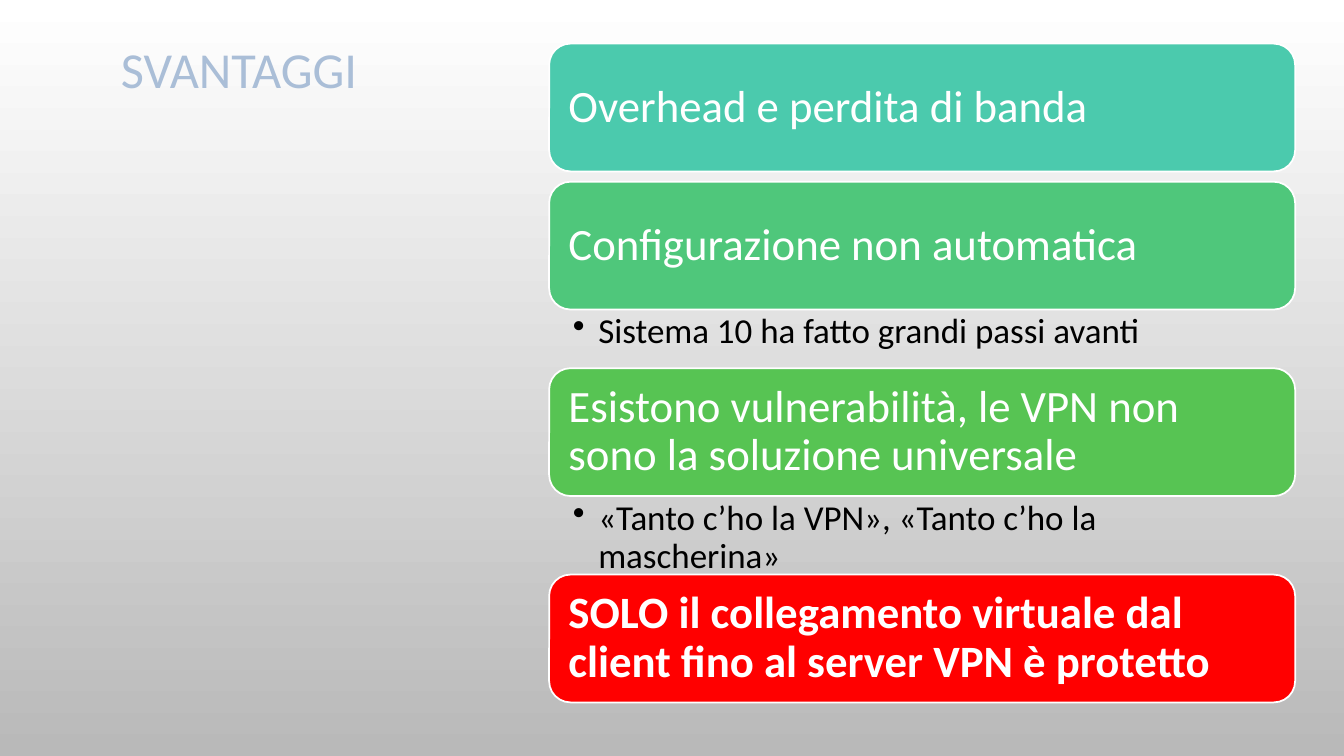
from lxml.etree import SubElement
from pptx import Presentation
from pptx.dml.color import RGBColor
from pptx.enum.shapes import MSO_SHAPE
from pptx.enum.text import MSO_ANCHOR, MSO_AUTO_SIZE, PP_ALIGN
from pptx.oxml.ns import qn
from pptx.util import Cm, Pt

WHITE = RGBColor(0xFF, 0xFF, 0xFF)
BLACK = RGBColor(0x00, 0x00, 0x00)
GREY = RGBColor(0xB9, 0xB9, 0xB9)
PALE_BLUE = RGBColor(0xAA, 0xBE, 0xD7)
TEAL = RGBColor(0x4B, 0xCA, 0xAD)
MINT = RGBColor(0x4F, 0xC7, 0x7B)
GREEN = RGBColor(0x57, 0xC4, 0x53)
RED = RGBColor(0xFF, 0x00, 0x00)

LIST_LEFT, LIST_TOP, LIST_WIDTH = Cm(13.84), Cm(1.1), Cm(18.8)
CARD_HEIGHT = Cm(3.22)

# Card text, fill, bold, note below the card, space down to the next card
CARDS = [
    ("Overhead e perdita di banda", TEAL, False, None, Cm(0.26)),
    ("Configurazione non automatica", MINT, False,
     "Sistema 10 ha fatto grandi passi avanti", Cm(1.48)),
    ("Esistono vulnerabilità, le VPN non sono la soluzione universale", GREEN, False,
     "«Tanto c’ho la VPN», «Tanto c’ho la mascherina»", Cm(1.98)),
    ("SOLO il collegamento virtuale dal client fino al server VPN è protetto", RED, True,
     None, Cm(0)),
]


def add_bullet(para):
    properties = para._p.get_or_add_pPr()
    properties.set("marL", str(Cm(0.64)))
    properties.set("indent", str(-Cm(0.64)))
    SubElement(properties, qn("a:buChar")).set("char", "•")


def write_text(shape, text, *, size, color, bold=False, align=PP_ALIGN.LEFT,
               anchor=MSO_ANCHOR.TOP, insets=None, bullet=False):
    """Insets are left, top, right and bottom."""
    frame = shape.text_frame
    frame.word_wrap = True
    frame.auto_size = MSO_AUTO_SIZE.NONE
    frame.vertical_anchor = anchor
    if insets:
        (frame.margin_left, frame.margin_top,
         frame.margin_right, frame.margin_bottom) = insets
    para = frame.paragraphs[0]
    para.alignment = align
    para.line_spacing = 0.9
    if bullet:
        add_bullet(para)
    span = para.add_run()
    span.text = text
    span.font.name = "Calibri"
    span.font.size = Pt(size)
    span.font.bold = bold
    span.font.color.rgb = color


def paint_background(page):
    fill = page.background.fill
    fill.gradient()
    fill.gradient_angle = 270
    for stop, color in zip(fill.gradient_stops, (WHITE, GREY)):
        stop.color.rgb = color


def add_title(page, text):
    title = page.shapes.title
    title.left, title.top, title.width, title.height = Cm(0.74), Cm(1), Cm(10.57), Cm(16.92)
    write_text(title, text, size=36, color=PALE_BLUE, align=PP_ALIGN.CENTER)


def add_card(page, top, text, color, bold):
    card = page.shapes.add_shape(MSO_SHAPE.ROUNDED_RECTANGLE,
                                 LIST_LEFT, top, LIST_WIDTH, CARD_HEIGHT)
    card.shadow.inherit = False
    card.fill.solid()
    card.fill.fore_color.rgb = color
    card.line.color.rgb = WHITE
    card.line.width = Pt(1.25)
    write_text(card, text, size=32, color=WHITE, bold=bold,
               anchor=MSO_ANCHOR.MIDDLE, insets=[Cm(0.33)] * 4)


def add_note(page, top, height, text):
    box = page.shapes.add_textbox(LIST_LEFT, top, LIST_WIDTH, height)
    write_text(box, text, size=25, color=BLACK, bullet=True,
               insets=(Cm(0.6), Cm(0.1), Cm(0.64), Cm(0.1)))


def main():
    deck = Presentation()
    deck.slide_width, deck.slide_height = Cm(33.87), Cm(19.05)
    page = deck.slides.add_slide(deck.slide_layouts[5])
    paint_background(page)
    add_title(page, "SVANTAGGI")
    top = LIST_TOP
    for text, color, bold, note, space in CARDS:
        add_card(page, top, text, color, bold)
        top += CARD_HEIGHT
        if note:
            add_note(page, top, space, note)
        top += space
    deck.save("out.pptx")


if __name__ == "__main__":
    main()
